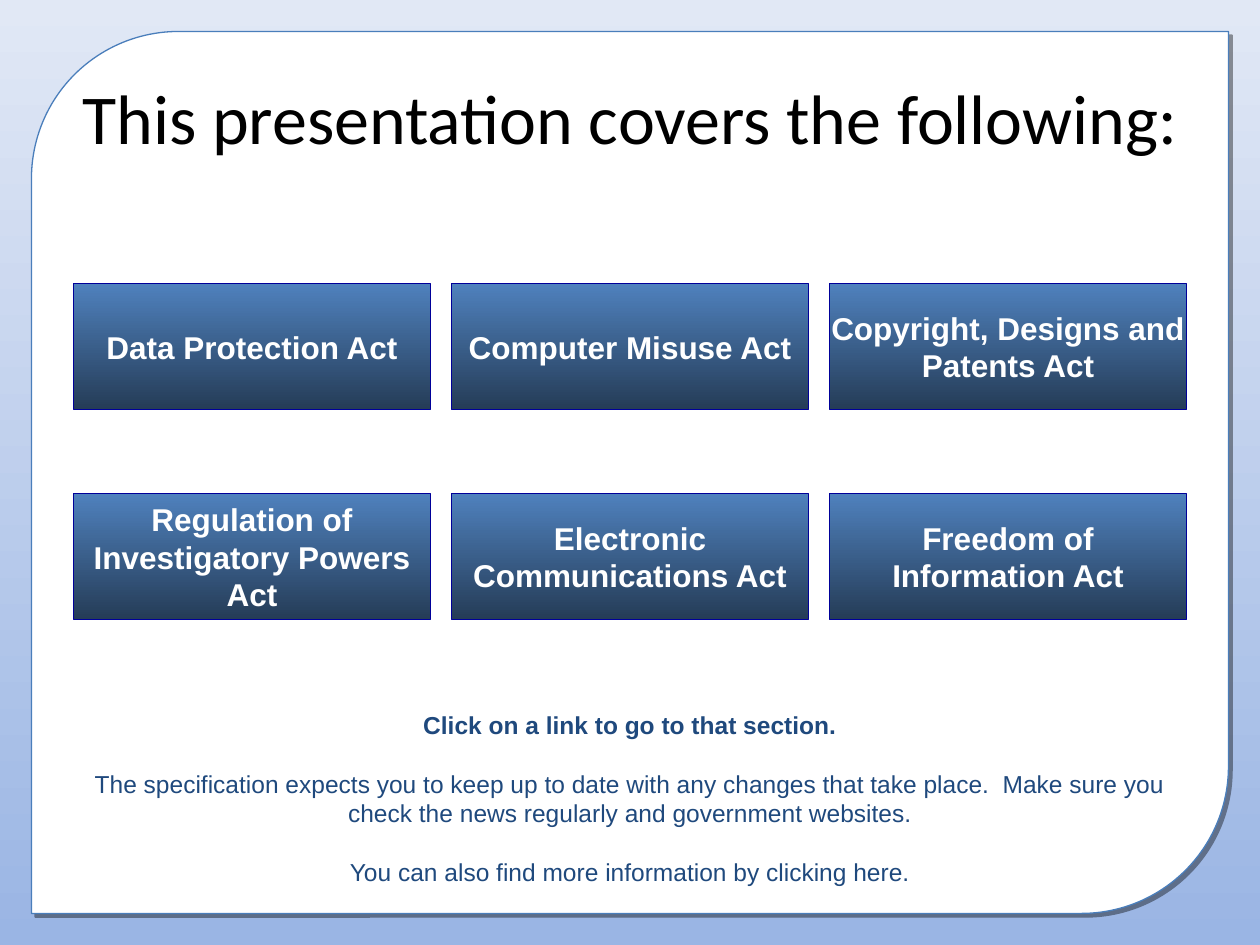
"""Build the slide that lists the acts covered by the presentation."""
from lxml import etree
from pptx import Presentation
from pptx.dml.color import RGBColor
from pptx.enum.shapes import MSO_SHAPE
from pptx.enum.text import MSO_ANCHOR, PP_ALIGN
from pptx.oxml import parse_xml
from pptx.util import Pt

RECT = MSO_SHAPE.RECTANGLE
PANEL = MSO_SHAPE.ROUND_2_DIAG_RECTANGLE
MIDDLE = MSO_ANCHOR.MIDDLE
CENTER = PP_ALIGN.CENTER
SHADOW = """<a:effectLst xmlns:a="http://schemas.openxmlformats.org/drawingml/2006/main">
  <a:outerShdw blurRad="0" dist="38100" dir="2700000" algn="tl" rotWithShape="0">
    <a:srgbClr val="000000"><a:alpha val="40000"/></a:srgbClr>
  </a:outerShdw>
</a:effectLst>"""


def color(text):
    return RGBColor.from_string(text)


def write(frame, lines, font, size, shade, bold=False):
    frame.text = "\n".join(lines)
    for par in frame.paragraphs:
        par.alignment = CENTER
        for run in par.runs:
            run.font.name = font
            run.font.size = Pt(size)
            run.font.bold = bold
            run.font.color.rgb = color(shade)


deck = Presentation()
deck.slide_width, deck.slide_height = Pt(720), Pt(540)
slide = deck.slides.add_slide(deck.slide_layouts[6])
shapes = slide.shapes

back = slide.background.fill
back.gradient()
back.gradient_angle = 90
for stop, shade in zip(back.gradient_stops, ["9AB5E4", "E1E8F5"]):
    stop.color.rgb = color(shade)

panel = shapes.add_shape(PANEL, Pt(18), Pt(18), Pt(684), Pt(504))
panel.fill.solid()
panel.fill.fore_color.rgb = color("FFFFFF")
panel.line.color.rgb = color("4A7EBB")
panel.line.width = Pt(0.75)
panel._element.spPr.append(parse_xml(SHADOW))

title = shapes.add_textbox(Pt(36), Pt(21.6), Pt(648), Pt(90)).text_frame
title.word_wrap = True
title.vertical_anchor = MIDDLE
write(title, ["This presentation covers the following:"], "Calibri", 40, "000000")

acts = [
    ["Data Protection Act"],
    ["Computer Misuse Act"],
    ["Copyright, Designs and", "Patents Act"],
    ["Regulation of", "Investigatory Powers", "Act"],
    ["Electronic", "Communications Act"],
    ["Freedom of", "Information Act"],
]
for num, lines in enumerate(acts):
    row, col = divmod(num, 3)
    box = shapes.add_shape(RECT, Pt(42 + 216 * col), Pt(162 + 120 * row), Pt(204), Pt(72))
    box.shadow.inherit = False
    box.fill.gradient()
    box.fill.gradient_angle = 270
    for stop, shade in zip(box.fill.gradient_stops, ["4F81BD", "253C57"]):
        stop.color.rgb = color(shade)
    box.line.color.rgb = color("000099")
    box.line.width = Pt(0.75)
    box.text_frame.word_wrap = False
    box.text_frame.vertical_anchor = MIDDLE
    write(box.text_frame, lines, "Arial", 18, "FFFFFF", True)

notes = [
    "Click on a link to go to that section.",
    "The specification expects you to keep up to date with any changes that take place.  "
    "Make sure you check the news regularly and government websites.",
    "You can also find more information by clicking here.",
]
guide = shapes.add_textbox(Pt(42), Pt(402), Pt(636), Pt(108)).text_frame
guide.word_wrap = True
write(guide, notes, "Arial", 14, "1F497D")
guide.paragraphs[0].runs[0].font.bold = True
for par in guide.paragraphs[1:]:
    par.space_before = Pt(17)

deck.save("out.pptx")
